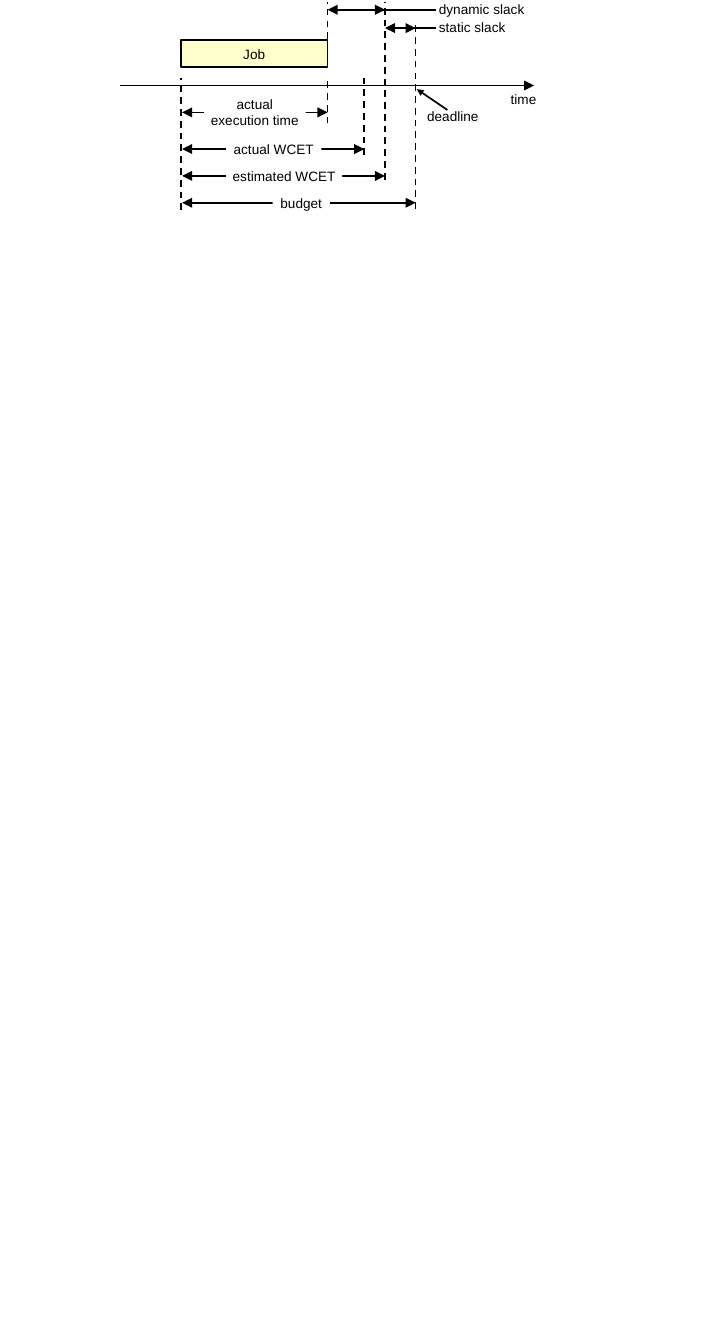
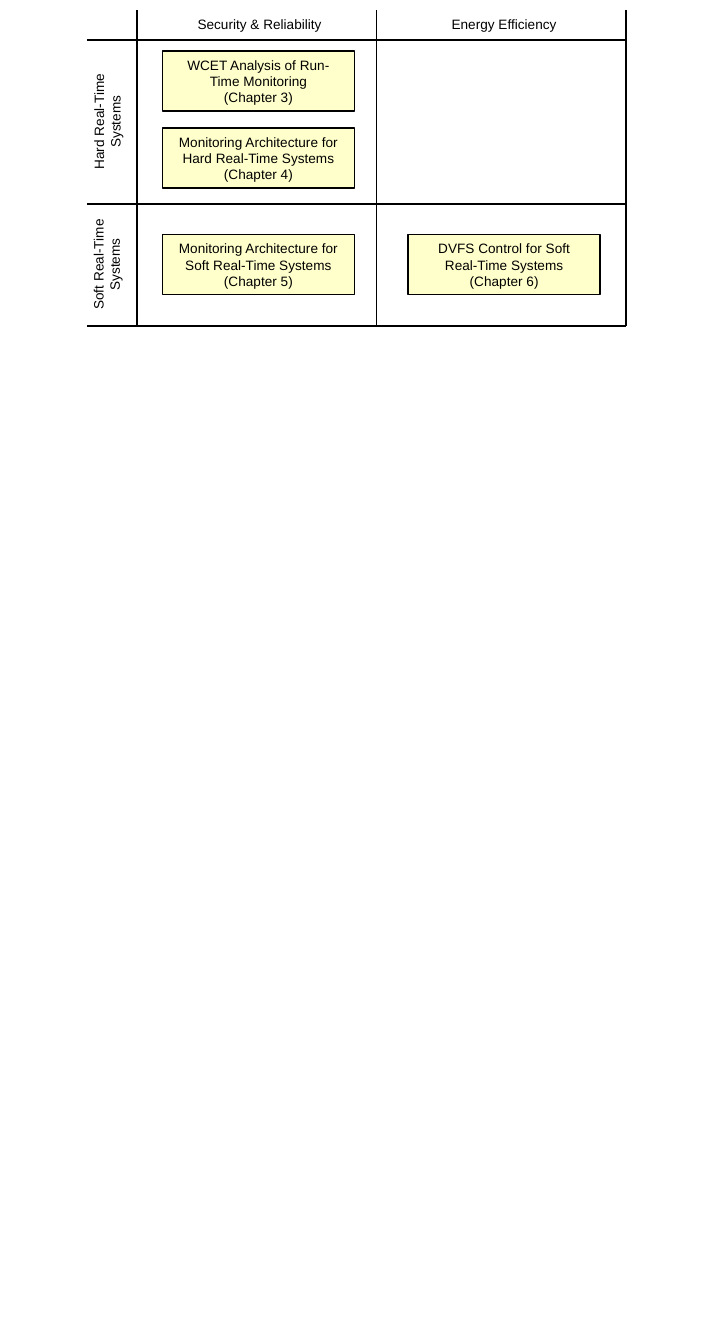
from dataclasses import dataclass
from typing import Optional

from lxml.etree import SubElement
from pptx import Presentation
from pptx.dml.color import RGBColor
from pptx.enum.dml import MSO_LINE
from pptx.enum.shapes import MSO_CONNECTOR, MSO_SHAPE
from pptx.enum.text import MSO_ANCHOR, PP_ALIGN
from pptx.oxml.ns import qn
from pptx.util import Inches, Pt

# Shared look
COLORS = {"ink": "000000", "box": "FFFFCC", "paper": "FFFFFF"}
FONT, FONT_SIZE, LINE_WIDTH = "Arial", Pt(8), Pt(1)
LABEL_HEIGHT = 0.22


@dataclass(frozen=True)
class Label:
    text: str
    left: float
    top: float
    width: float
    height: float = LABEL_HEIGHT
    align: PP_ALIGN = PP_ALIGN.CENTER
    fill: Optional[str] = None
    outlined: bool = False
    side_inset: float = 0.1
    rotation: int = 0


@dataclass(frozen=True)
class Line:
    x1: float
    y1: float
    x2: float
    y2: float
    head: Optional[str] = None  # arrowhead size at the start
    tail: Optional[str] = None  # arrowhead size at the end
    dashed: bool = False


@dataclass(frozen=True)
class Span:
    """A double arrow between two instants, with its label."""
    start: float
    end: float
    y: float
    label: Label


def rgb(name: str) -> RGBColor:
    return RGBColor.from_string(COLORS[name])


def draw_label(slide, label: Label) -> None:
    frame = [Inches(v) for v in (label.left, label.top, label.width, label.height)]
    if label.fill:
        holder = slide.shapes.add_shape(MSO_SHAPE.RECTANGLE, *frame)
        holder.shadow.inherit = False
        holder.fill.solid()
        holder.fill.fore_color.rgb = rgb(label.fill)
        if label.outlined:
            holder.line.color.rgb = rgb("ink")
            holder.line.width = LINE_WIDTH
        else:
            holder.line.fill.background()
    else:
        holder = slide.shapes.add_textbox(*frame)
    holder.rotation = label.rotation

    text_frame = holder.text_frame
    text_frame.word_wrap = True
    text_frame.vertical_anchor = MSO_ANCHOR.MIDDLE
    text_frame.margin_left = text_frame.margin_right = Inches(label.side_inset)
    text_frame.margin_top = text_frame.margin_bottom = Inches(0.05)
    text_frame.text = label.text
    for paragraph in text_frame.paragraphs:
        paragraph.alignment = label.align
        paragraph.font.name = FONT
        paragraph.font.size = FONT_SIZE
        paragraph.font.color.rgb = rgb("ink")


def draw_line(slide, line: Line) -> None:
    ends = [Inches(v) for v in (line.x1, line.y1, line.x2, line.y2)]
    connector = slide.shapes.add_connector(MSO_CONNECTOR.STRAIGHT, *ends)
    connector.line.color.rgb = rgb("ink")
    connector.line.width = LINE_WIDTH
    if line.dashed:
        connector.line.dash_style = MSO_LINE.DASH
    stroke = connector.line._get_or_add_ln()
    for tag, size in (("a:headEnd", line.head), ("a:tailEnd", line.tail)):
        if size:
            SubElement(stroke, qn(tag), type="triangle", w=size, len=size)
    SubElement(connector._element.spPr, qn("a:effectLst"))


def draw_span(slide, span: Span) -> None:
    draw_line(slide, Line(span.start, span.y, span.end, span.y, "med", "med"))
    draw_label(slide, span.label)


def centered_span(text: str, end: float, y: float, left: float, width: float) -> Span:
    """A span from the job's release, its label sitting on the arrow."""
    label = Label(text, left, y - LABEL_HEIGHT / 2, width, fill="paper", side_inset=0.05)
    return Span(RELEASE + 0.01, end, y, label)


def slack_span(text: str, start: float, end: float, y: float, width: float) -> Span:
    """A slack interval, its label to the right."""
    label = Label(text, SLACK_LEFT, y - 0.08, width, 0.15, PP_ALIGN.LEFT,
                  "paper", side_inset=0.05)
    return Span(start, end, y, label)


def draw_timing(slide) -> None:
    # Job and time axis
    draw_label(slide, Label("Job", RELEASE, 0.33, FINISH - RELEASE, fill="box", outlined=True))
    draw_line(slide, Line(0.98, AXIS_Y, 4.37, AXIS_Y, tail="med"))
    draw_label(slide, Label("time", 4.08, AXIS_Y, 0.43, align=PP_ALIGN.LEFT))

    # Deadline pointer
    draw_label(slide, Label("deadline", 3.37, 0.84, 0.67))
    draw_line(slide, Line(3.41, 0.73, 3.66, 0.9, head="sm"))

    # Dashed guides at each instant
    for x, bottom, top in ((FINISH, 1.01, 0.64), (RELEASE, 1.72, 0.64),
                           (ACTUAL_WCET, 1.27, 0.64), (ESTIMATED_WCET, 1.47, 0.02),
                           (DEADLINE, 1.71, 0.17), (FINISH, 0.32, 0.02)):
        draw_line(slide, Line(x, bottom, x, top, dashed=True))

    # Durations below the axis, slack above it
    for span in (
        centered_span("actual execution time", FINISH, 0.92, 1.67, 0.83),
        centered_span("actual WCET", ACTUAL_WCET, 1.22, 1.85, 0.78),
        centered_span("estimated WCET", ESTIMATED_WCET, 1.44, 1.85, 0.95),
        centered_span("budget", DEADLINE, 1.66, 2.23, 0.47),
        slack_span("dynamic slack", FINISH, ESTIMATED_WCET, 0.08, 0.95),
        slack_span("static slack", ESTIMATED_WCET, DEADLINE, 0.23, 0.69),
    ):
        draw_span(slide, span)

    # Leaders from the slack intervals to their labels
    for x, y in ((3.19, 0.23), (2.91, 0.08)):
        draw_line(slide, Line(x, y, SLACK_LEFT + 0.03, y))


def draw_overview(slide) -> None:
    # Column and row headings
    for text, left in (("Security & Reliability", 1.21), ("Energy Efficiency", 3.21)):
        draw_label(slide, Label(text, left, 0.08, 1.83, 0.24))
    for text, left, top, width in (("Hard Real-Time Systems", 0.2, 0.83, 1.35),
                                   ("Soft Real-Time Systems", 0.37, 2, 1)):
        draw_label(slide, Label(text, left, top, width, 0.33, rotation=270))

    # Chapters
    for text, left, top in (
        ("WCET Analysis of Run-Time Monitoring\n(Chapter 3)", 1.33, 0.42),
        ("Monitoring Architecture for Hard Real-Time Systems (Chapter 4)", 1.33, 1.05),
        ("Monitoring Architecture for Soft Real-Time Systems (Chapter 5)", 1.33, 1.92),
        ("DVFS Control for Soft Real-Time Systems (Chapter 6)", 3.34, 1.92),
    ):
        draw_label(slide, Label(text, left, top, 1.57, 0.49, fill="box", outlined=True))

    # Grid rules
    left, right, top, bottom = 0.71, 5.12, 0.08, 2.67
    for y in (0.33, 1.67, bottom):
        draw_line(slide, Line(left, y, right, y))
    for x in (1.12, 3.08, right):
        draw_line(slide, Line(x, top, x, bottom))


# Instants on the time axis
RELEASE, FINISH, ACTUAL_WCET, ESTIMATED_WCET, DEADLINE = 1.48, 2.68, 2.98, 3.15, 3.4
AXIS_Y, SLACK_LEFT = 0.7, 3.54

presentation = Presentation()
presentation.slide_width, presentation.slide_height = Inches(5.8), Inches(11)
blank_layout = presentation.slide_layouts[6]
for draw_content in (draw_timing, draw_overview):
    draw_content(presentation.slides.add_slide(blank_layout))
presentation.save("out.pptx")
